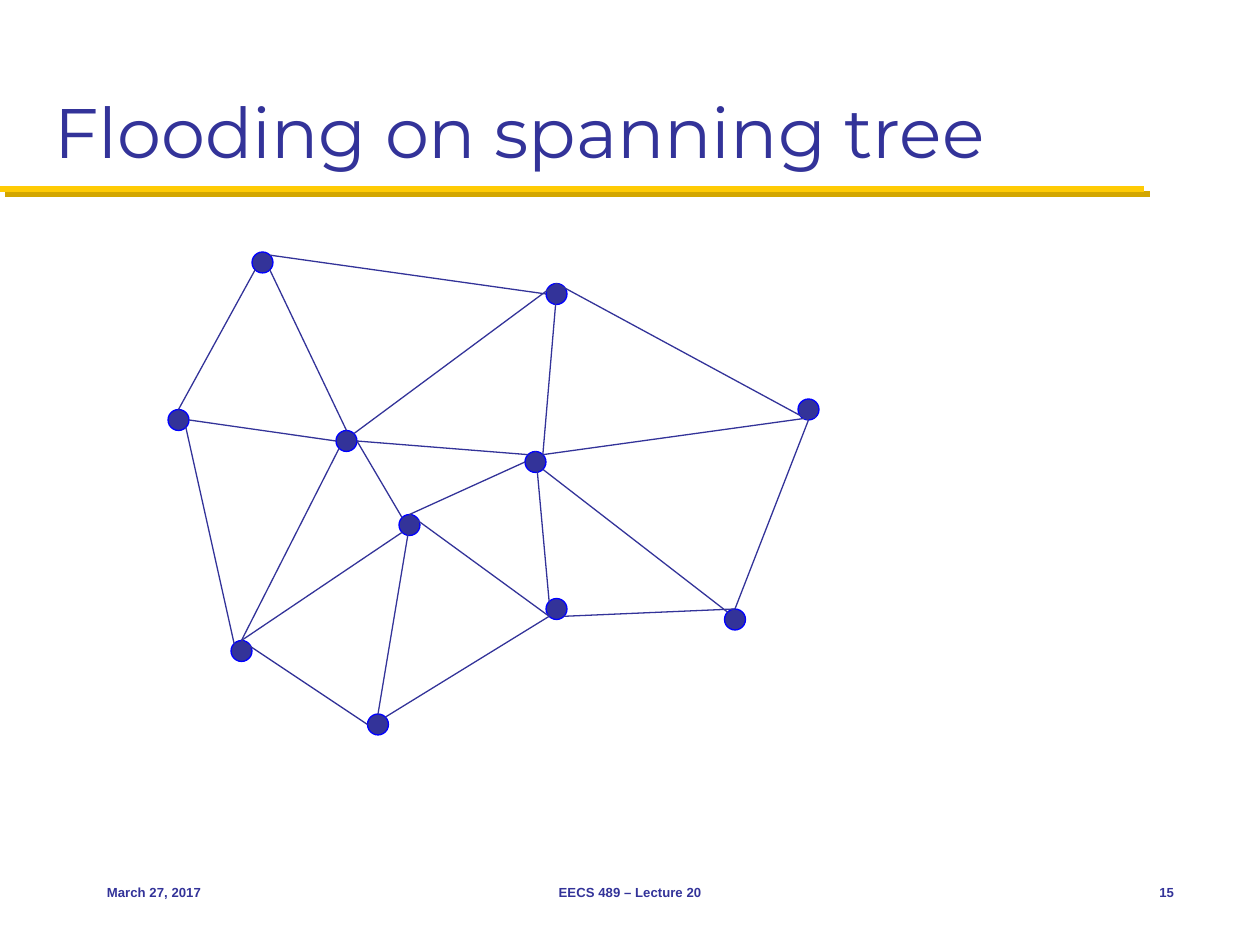
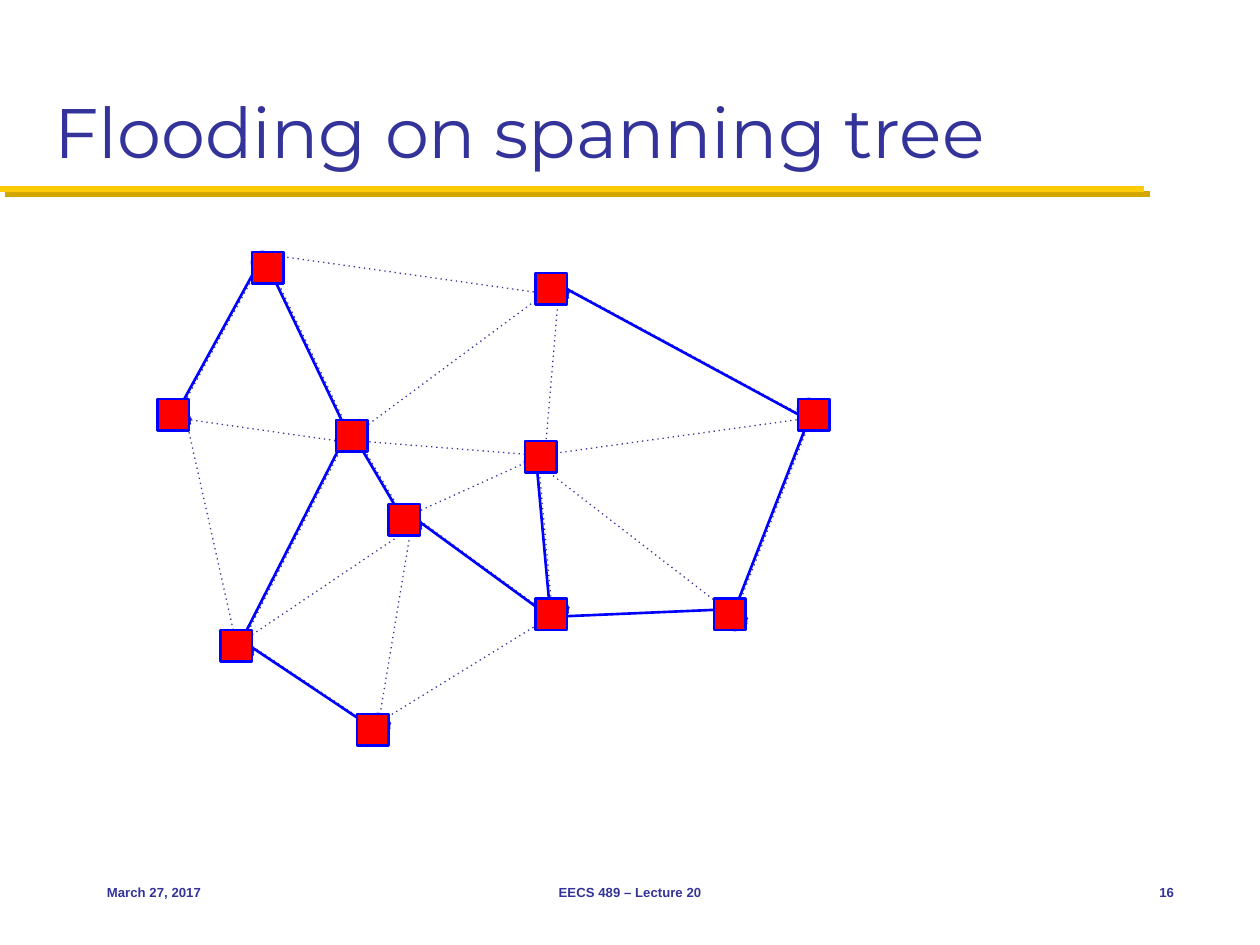
from lxml import etree
from pptx import Presentation
from pptx.dml.color import RGBColor
from pptx.enum.dml import MSO_LINE
from pptx.enum.shapes import MSO_CONNECTOR, MSO_SHAPE
from pptx.enum.text import MSO_ANCHOR, MSO_AUTO_SIZE, PP_ALIGN
from pptx.oxml.ns import qn
from pptx.util import Pt

STRAIGHT = MSO_CONNECTOR.STRAIGHT
OVAL, SQUARE = MSO_SHAPE.OVAL, MSO_SHAPE.RECTANGLE
LEFT, CENTER, RIGHT = PP_ALIGN.LEFT, PP_ALIGN.CENTER, PP_ALIGN.RIGHT
BOTTOM, MIDDLE = MSO_ANCHOR.BOTTOM, MSO_ANCHOR.MIDDLE
NO_AUTOFIT = MSO_AUTO_SIZE.NONE
ROUND_DOT = MSO_LINE.ROUND_DOT

INDIGO = RGBColor(0x33, 0x33, 0x99)
BLUE = RGBColor(0x00, 0x00, 0xFF)
RED = RGBColor(0xFF, 0x00, 0x00)
MAIZE = RGBColor(0xFF, 0xCB, 0x05)
DARK_MAIZE = RGBColor(0xD3, 0xA6, 0x00)

TITLE_ONLY = 5
NODE_SIZE, SWITCH_SIZE = 12, 18
DOTTED_SHIFT = 1.2

# Network nodes: left and top of the circle, then the offset of the square over it
NODES = {
    "A": (144, 144, 0, 0),
    "B": (96, 234, -6, -6),
    "C": (312, 162, -6, -6),
    "D": (312, 342, -6, 0),
    "E": (210, 408, -6, 0),
    "F": (192, 246, 0, -6),
    "G": (456, 228, 0, 0),
    "H": (228, 294, -6, -6),
    "I": (132, 366, -6, -6),
    "J": (300, 258, 0, -6),
    "K": (414, 348, -6, -6),
}

# Where a link meets its node, as fractions of the circle's box
SITES = {
    "t": (0.5, 0), "l": (0, 0.5), "r": (1, 0.5), "b": (0.5, 1), "c": (0.5, 0.5),
    "tl": (0.15, 0.15), "tr": (0.85, 0.15), "bl": (0.15, 0.85), "br": (0.85, 0.85),
}

# Links, each end given as node and site
TREE_LINKS = ["A.br F.t", "A.bl B.t", "F.r H.tl", "C.t G.b", "G.b K.t",
              "I.t E.l", "H.t D.bl", "K.t D.br", "J.t D.tl", "I.t F.bl"]
OTHER_LINKS = ["B.br I.tl", "J.br K.tl", "C.c J.tr", "H.c E.t", "F.r J.tl",
               "B.r F.l", "I.t H.bl", "E.tr D.bl", "H.t J.l", "J.tr G.br",
               "A.tr C.l", "F.tr C.t"]


class Deck:
    def __init__(self):
        self.prs = Presentation()
        self.prs.slide_width, self.prs.slide_height = Pt(720), Pt(540)
        self.slide = None

    def new_slide(self, title, number):
        layout = self.prs.slide_layouts[TITLE_ONLY]
        self.slide = self.prs.slides.add_slide(layout)
        self.title(title)
        self.band()
        self.footer("March 27, 2017", 54, 150, LEFT)
        self.footer("EECS 489 – Lecture 20", 246, 228, CENTER)
        self.footer(str(number), 630, 48, RIGHT)

    def set_text(self, box, text, size, font, align, anchor, bold=False):
        frame = box.text_frame
        frame.text = text
        frame.word_wrap = True
        frame.auto_size = NO_AUTOFIT
        frame.vertical_anchor = anchor
        paragraph = frame.paragraphs[0]
        paragraph.alignment = align
        style = paragraph.runs[0].font
        style.size, style.name, style.bold = Pt(size), font, bold
        style.color.rgb = INDIGO

    def title(self, text):
        heading = self.slide.shapes.title
        heading.left, heading.top = Pt(24), Pt(12)
        heading.width, heading.height = Pt(672), Pt(90)
        self.set_text(heading, text, 40, "Montserrat", LEFT, BOTTOM)

    def footer(self, text, left, width, align):
        box = self.slide.shapes.add_textbox(Pt(left), Pt(492), Pt(width), Pt(36))
        self.set_text(box, text, 7.5, "Arial", align, MIDDLE, bold=True)

    def line(self, shapes, start, end, color, weight, dotted=False):
        """Draw a line and return its effect list, which is empty."""
        link = shapes.add_connector(STRAIGHT, *map(Pt, start + end))
        self.outline(link, color, weight, dotted)
        return etree.SubElement(link._element.spPr, qn("a:effectLst"))

    def outline(self, shape, color, weight, dotted):
        shape.line.color.rgb = color
        shape.line.width = Pt(weight)
        if dotted:
            shape.line.dash_style = ROUND_DOT
            dash = shape._element.spPr.find(".//" + qn("a:prstDash"))
            dash.set("val", "dot")  # wider gaps than the preset enum offers

    def band(self):
        effects = self.line(self.slide.shapes, (0, 108), (654, 108), MAIZE, 3.5)
        shadow = etree.SubElement(effects, qn("a:outerShdw"), dist=str(Pt(4.2)),
                                  dir=str(45 * 60000), rotWithShape="0")
        etree.SubElement(shadow, qn("a:srgbClr"), val=str(DARK_MAIZE))

    def marker(self, shapes, kind, left, top, size, fill, weight, dotted=False):
        mark = shapes.add_shape(kind, Pt(left), Pt(top), Pt(size), Pt(size))
        mark.shadow.inherit = False
        mark.fill.solid()
        mark.fill.fore_color.rgb = fill
        self.outline(mark, BLUE, weight, dotted)

    def network(self, links, color, weight, shift=0, dotted=False):
        shapes = self.slide.shapes.add_group_shape().shapes
        for left, top, _, _ in NODES.values():
            self.marker(shapes, OVAL, left + shift, top, NODE_SIZE, INDIGO, weight, dotted)
        for link in links:
            start, end = (self.site(place, shift) for place in link.split())
            self.line(shapes, start, end, color, weight, dotted)

    def site(self, place, shift):
        node, side = place.split(".")
        left, top = NODES[node][:2]
        across, down = SITES[side]
        return left + shift + across * NODE_SIZE, top + down * NODE_SIZE

    def switches(self):
        for left, top, dx, dy in NODES.values():
            self.marker(self.slide.shapes, SQUARE, left + dx, top + dy,
                        SWITCH_SIZE, RED, 1.5)


def main():
    deck = Deck()

    # Whole network
    deck.new_slide("Flooding on spanning tree", 15)
    deck.network(TREE_LINKS + OTHER_LINKS, INDIGO, 0.75)

    # Spanning tree over the dotted network
    deck.new_slide("Flooding on spanning tree", 16)
    deck.network(TREE_LINKS + OTHER_LINKS, INDIGO, 0.75, DOTTED_SHIFT, dotted=True)
    deck.network(TREE_LINKS, BLUE, 1.5)
    deck.switches()

    deck.prs.save("out.pptx")


if __name__ == "__main__":
    main()
